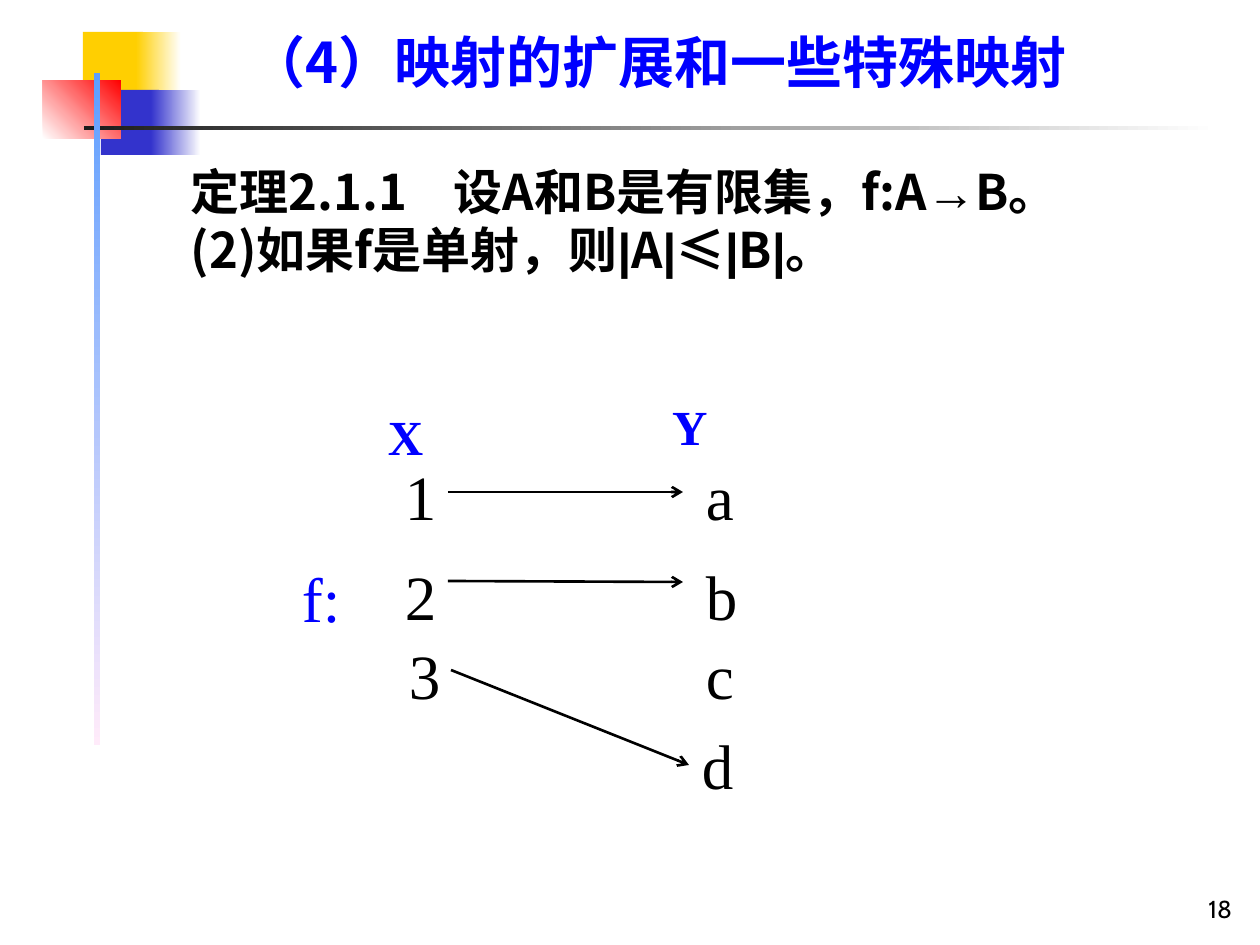
from pptx import Presentation
from pptx.dml.color import RGBColor
from pptx.enum.shapes import MSO_CONNECTOR as CONN, MSO_SHAPE as SHAPE
from pptx.enum.text import MSO_ANCHOR as ANCHOR, PP_ALIGN as ALIGN
from pptx.oxml.ns import qn
from pptx.util import Pt
from lxml.etree import SubElement

SCALE = 914400 / 126
CJK, ROMAN, SYMBOL = "Noto Sans CJK SC", "Times New Roman", "Arial"
BLACK, BLUE, WHITE = "000000", "0000FF", "FFFFFF"


def px(n):
    return round(n * SCALE)


def color(code):
    return RGBColor.from_string(code)


class Painter:
    def __init__(self, slide):
        self.s = slide

    def bar(self, x, y, w, h, start, end=None, angle=0):
        sp = self.s.shapes.add_shape(SHAPE.RECTANGLE, px(x), px(y), px(w), px(h))
        sp.shadow.inherit = False
        sp.line.fill.background()
        if end is None:
            sp.fill.solid()
            sp.fill.fore_color.rgb = color(start)
            return
        sp.fill.gradient()
        sp.fill.gradient_angle = angle
        for stop, code in zip(sp.fill.gradient_stops, (start, end)):
            stop.color.rgb = color(code)

    def text(self, x, y, w, h, lines, size, font=ROMAN, code=BLACK, bold=False,
             inset=(0, 0, 0, 0), anchor=ANCHOR.TOP, tab=None, **para):
        """Each line is a string or a list of (text, font) runs."""
        tf = self.s.shapes.add_textbox(px(x), px(y), px(w), px(h)).text_frame
        tf.word_wrap = True
        tf.vertical_anchor = anchor
        for side, gap in zip(("left", "top", "right", "bottom"), inset):
            setattr(tf, f"margin_{side}", px(gap))
        for i, line in enumerate(lines):
            p = tf.add_paragraph() if i else tf.paragraphs[0]
            for name, value in para.items():
                setattr(p, name, value)
            if tab:
                stops = SubElement(p._p.get_or_add_pPr(), qn("a:tabLst"))
                SubElement(stops, qn("a:tab"), pos=str(px(tab)), algn="l")
            for words, face in [(line, font)] if isinstance(line, str) else line:
                r = p.add_run()
                r.text = words
                style = {"name": face, "size": Pt(size), "bold": bold}
                for name, value in style.items():
                    setattr(r.font, name, value)
                r.font.color.rgb = color(code)
                SubElement(r._r.get_or_add_rPr(), qn("a:ea"), typeface=face)

    def element(self, x, y, label):
        self.text(x, y, 37, 88, [label], 36, inset=(13, 6, 13, 6),
                  alignment=ALIGN.CENTER)

    def arrow(self, x1, y1, x2, y2):
        c = self.s.shapes.add_connector(CONN.STRAIGHT, px(x1), px(y1), px(x2), px(y2))
        c.line.width = Pt(1.5)
        c.line.color.rgb = color(BLACK)
        SubElement(c.line._get_or_add_ln(), qn("a:tailEnd"), type="arrow")
        SubElement(c._element.spPr, qn("a:effectLst"))


def main():
    prs = Presentation()
    prs.slide_width, prs.slide_height = px(1260), px(945)
    d = Painter(prs.slides.add_slide(prs.slide_layouts[6]))

    # Corner decoration and rules
    d.bar(83, 32, 60, 65, "FFCF01")
    d.bar(136, 32, 45, 65, "FFCF01", WHITE)
    d.bar(101, 90, 58, 65, "3333CC")
    d.bar(151, 90, 50, 65, "3333CC", WHITE)
    d.bar(43, 80, 78, 59, WHITE, "FF0000", 45)
    d.bar(84, 126, 1134, 4, "1C1C1C", WHITE)
    d.bar(94, 73, 6, 672, "5E9EFF", "FFEBFA", 270)

    # Slide number
    d.text(983, 866, 262, 63, ["18"], 14, "Cabin", inset=(13, 6, 13, 6),
           anchor=ANCHOR.BOTTOM, alignment=ALIGN.RIGHT)

    # Theorem
    bar = ("|", SYMBOL)
    theorem = [
        [("定理2.1.1\t设A和B是有限集，f:A", CJK), ("→", SYMBOL), ("B。", CJK)],
        [("(2)如果f是单射，则", CJK), bar, ("A", CJK), bar, ("≤", CJK),
         bar, ("B", CJK), bar, ("。", CJK)],
    ]
    d.text(134, 155, 1032, 131, theorem, 28, CJK, bold=True,
           inset=(57, 6, 13, 6), tab=263)

    # Title
    d.text(174, 35, 912, 60, ["（4）映射的扩展和一些特殊映射"], 32, CJK, BLUE, True,
           inset=(56, 0, 0, 0), alignment=ALIGN.CENTER, line_spacing=0.9)

    # Set and map names
    for x, y, w, h, name, size, bold in (
            (388, 413, 53, 53, "X", 28, True),
            (672, 403, 67, 53, "Y", 28, True),
            (302, 568, 53, 68, "f:", 36, False)):
        d.text(x, y, w, h, [name], size, code=BLUE, bold=bold, line_spacing=0.9)

    # Elements of X and Y
    rows = (452, 552, 631, 721)
    for x, y, label in zip((392, 392, 396), rows, "123"):
        d.element(x, y, label)
    for x, y, label in zip((693, 693, 693, 689), rows, "abcd"):
        d.element(x, y, label)

    # Mapping arrows
    d.arrow(448, 492, 683, 492)
    d.arrow(448, 581, 683, 582)
    d.arrow(451, 670, 689, 765)

    prs.save("out.pptx")


if __name__ == "__main__":
    main()
